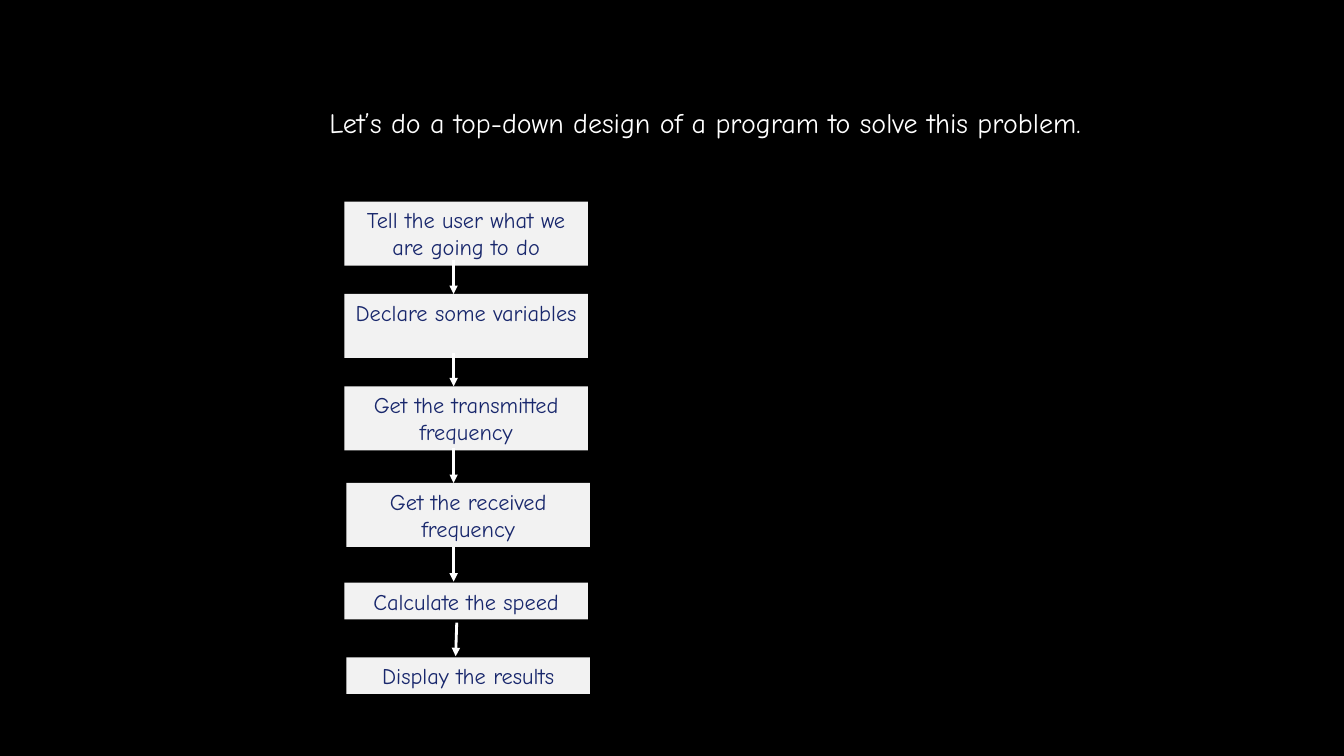
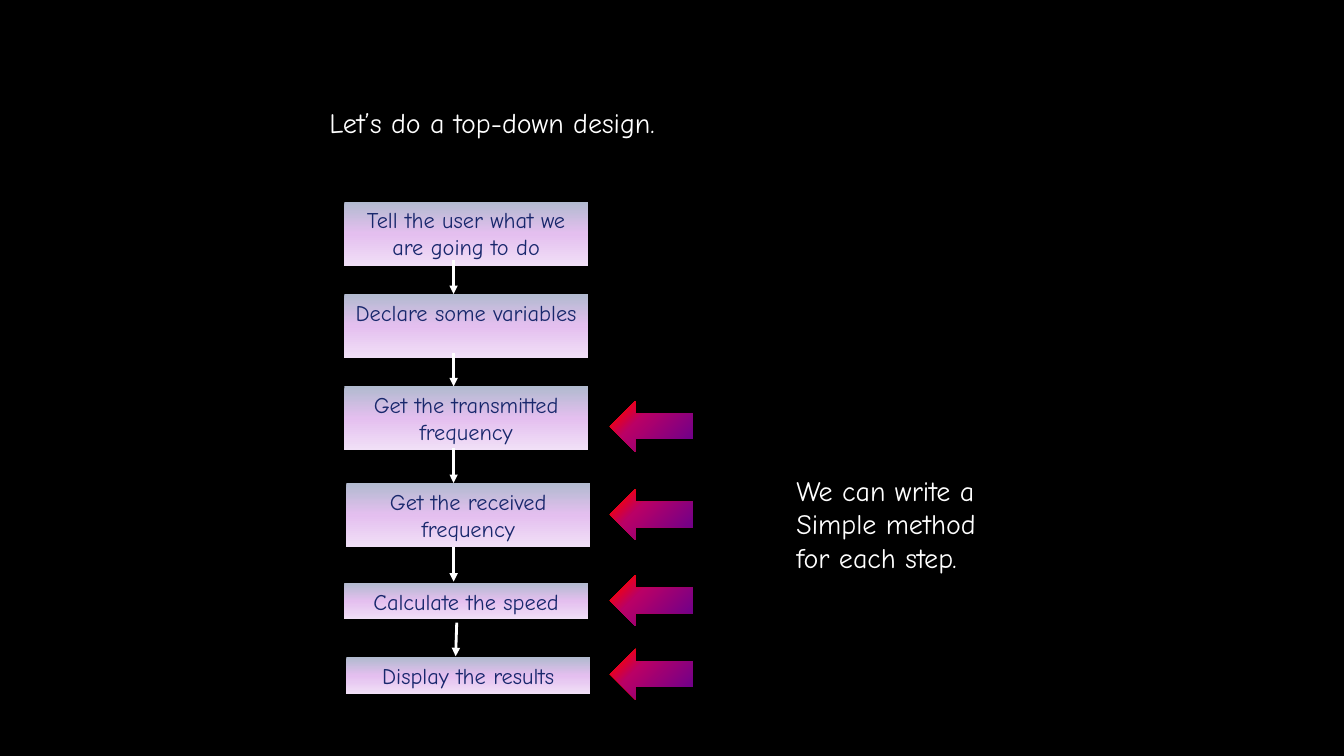
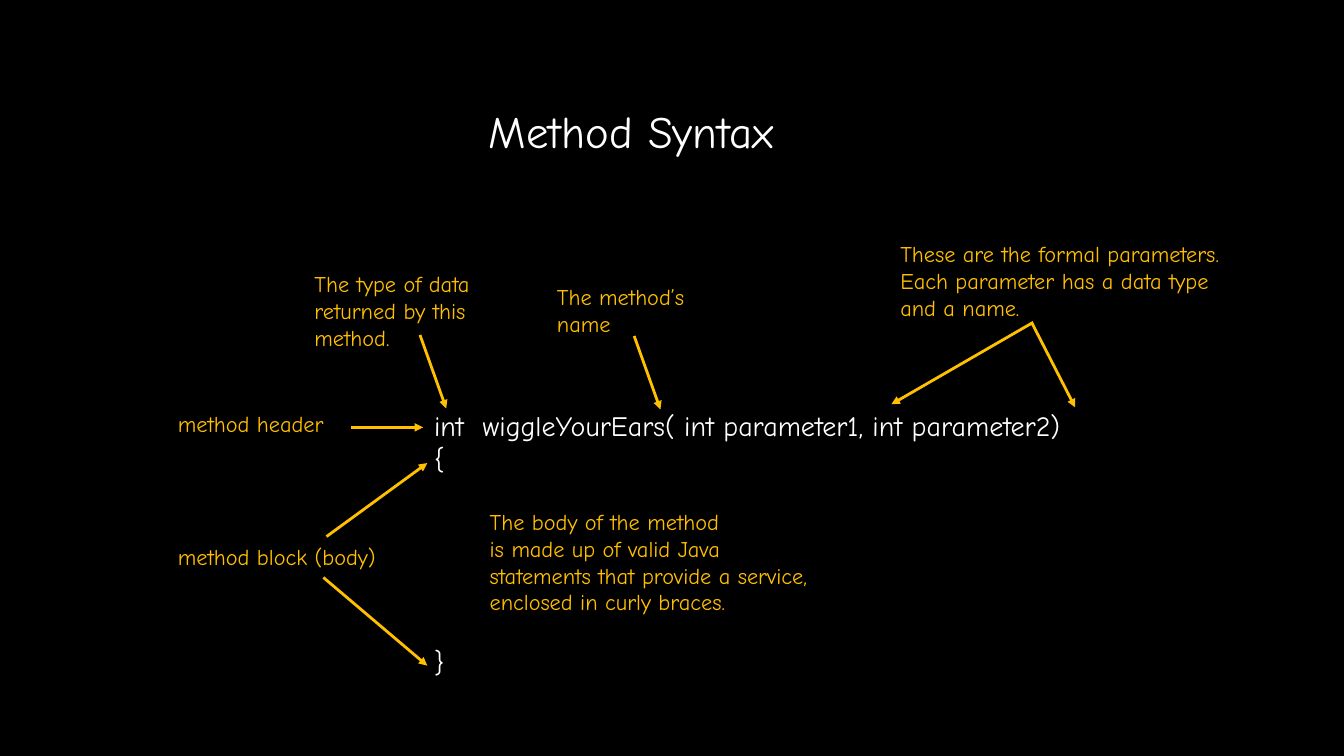
from lxml import etree
from pptx import Presentation
from pptx.dml.color import RGBColor
from pptx.enum.shapes import MSO_CONNECTOR, MSO_SHAPE
from pptx.enum.text import MSO_ANCHOR, MSO_AUTO_SIZE, PP_ALIGN
from pptx.oxml import parse_xml
from pptx.oxml.ns import nsdecls, qn
from pptx.util import Pt

PX = 9525  # EMU in one px, 96 px to the inch
FONT = "Comic Neue"
COLORS = {
    "background": "000000",
    "text": "FFFFFF",
    "note": "FFC000",
    "step_text": "18276C",
    "step_fill": "F2F2F2",
}

# Gradient stops: (percent, colour)
STEP_STOPS = [(0, "B1BACF"), (50, "E4BFEF"), (100, "F1E0F7")]
POINTER_STOPS = [(0, "000082"), (1, "66008F"), (65, "BA0066"),
                 (90, "FF0000"), (100, "FF8200")]
DOWNWARD = '<a:lin ang="5400000" scaled="0"/>'
FROM_CORNER = '<a:path path="circle"><a:fillToRect l="100000" t="100000"/></a:path>'

# Flowchart steps: text, left, top, height
STEPS = [
    ("Tell the user what we are going to do", 328, 192, 61),
    ("Declare some variables", 328, 280, 61),
    ("Get the transmitted\nfrequency", 328, 368, 61),
    ("Get the received\nfrequency", 330, 460, 61),
    ("Calculate the speed", 328, 555, 35),
    ("Display the results", 330, 626, 35),
]
STEP_WIDTH = 232
# Flow arrows: from x, from y, to x, to y
FLOW = [
    (432, 248, 432, 280),
    (432, 336, 432, 368),
    (432, 427, 432, 460),
    (432, 521, 432, 554),
    (435, 593, 434, 625),
]
POINTER_TOPS = [382, 466, 548, 618]

# Method syntax notes: text, left, top, width, height
NOTES = [
    ("The type of data\nreturned by this\nmethod.", 290, 253, 189, 87),
    ("The method’s\nname", 521, 265, 154, 61),
    ("These are the formal parameters.\nEach parameter has a data type\nand a name.",
     848, 224, 361, 87),
    ("The body of the method\nis made up of valid Java\n"
     "statements that provide a service,\nenclosed in curly braces.",
     457, 479, 384, 113),
    ("method header", 160, 386, 171, 35),
    ("method block (body)", 160, 513, 224, 35),
]
NOTE_ARROWS = [
    (400, 319, 425, 389),
    (604, 320, 629, 390),
    (984, 307, 849, 385),
    (983, 308, 1024, 388),
    (334, 407, 403, 407),
    (311, 511, 407, 441),
    (308, 550, 407, 634),
]


def rgb(name):
    return RGBColor.from_string(COLORS[name])


def emu(*lengths):
    return [n * PX for n in lengths]


def write(tf, text, size, color, align=PP_ALIGN.LEFT):
    """Fill a text frame, one paragraph per line of text."""
    tf.text = text
    tf.word_wrap = True
    tf.auto_size = MSO_AUTO_SIZE.NONE
    tf.vertical_anchor = MSO_ANCHOR.TOP
    for p in tf.paragraphs:
        p.alignment = align
        p.line_spacing = 1.0
        p.font.name = FONT
        p.font.size = Pt(size)
        p.font.color.rgb = rgb(color)


def add_titled_slide(prs, text, left, top, width, height, size=20):
    s = prs.slides.add_slide(prs.slide_layouts[5])
    title = s.shapes.title
    title.left, title.top, title.width, title.height = emu(left, top, width, height)
    write(title.text_frame, text, size, "text")
    return s


def add_text(s, text, left, top, width, height, size, color):
    tb = s.shapes.add_textbox(*emu(left, top, width, height))
    write(tb.text_frame, text, size, color)
    return tb.text_frame


def add_block(s, kind, left, top, width, height):
    sp = s.shapes.add_shape(kind, *emu(left, top, width, height))
    sp.shadow.inherit = False
    sp.line.fill.background()
    return sp


def set_gradient(sp, stops, direction):
    sp.fill.background()
    gs = "".join(f'<a:gs pos="{pos * 1000}"><a:srgbClr val="{color}"/></a:gs>'
                 for pos, color in stops)
    grad = parse_xml(f'<a:gradFill {nsdecls("a")} rotWithShape="1">'
                     f'<a:gsLst>{gs}</a:gsLst>{direction}</a:gradFill>')
    sp_pr = sp._element.spPr
    sp_pr.replace(sp_pr.find(qn("a:noFill")), grad)


def add_arrow(s, ends, color):
    line = s.shapes.add_connector(MSO_CONNECTOR.STRAIGHT, *emu(*ends))
    line.line.color.rgb = rgb(color)
    line.line.width = Pt(2)
    etree.SubElement(line.line._get_or_add_ln(), qn("a:tailEnd"), type="triangle")
    etree.SubElement(line._element.spPr, qn("a:effectLst"))


def add_flowchart(s, stops=None):
    for text, left, top, height in STEPS:
        box = add_block(s, MSO_SHAPE.RECTANGLE, left, top, STEP_WIDTH, height)
        if stops:
            set_gradient(box, stops, DOWNWARD)
        else:
            box.fill.solid()
            box.fill.fore_color.rgb = rgb("step_fill")
        write(box.text_frame, text, 16, "step_text", PP_ALIGN.CENTER)
    for ends in FLOW:
        add_arrow(s, ends, "text")


def build_design(prs):
    s = add_titled_slide(
        prs, "Let’s do a top-down design of a program to solve this problem.",
        304, 96, 798, 42)
    add_flowchart(s)


def build_design_methods(prs):
    s = add_titled_slide(prs, "Let’s do a top-down design.", 304, 96, 357, 42)
    add_flowchart(s, STEP_STOPS)
    for top in POINTER_TOPS:
        pointer = add_block(s, MSO_SHAPE.LEFT_ARROW, 581, top, 79, 48)
        set_gradient(pointer, POINTER_STOPS, FROM_CORNER)
    add_text(s, "We can write a\nSimple method\nfor each step.",
             749, 446, 208, 107, 20, "text")


def build_syntax(prs):
    s = add_titled_slide(prs, "Method Syntax", 456, 94, 330, 61, size=32)
    code = add_text(s, "int  wiggleYourEars( int parameter1, int parameter2)\n{\n}",
                    404, 384, 681, 268, 20, "text")
    code.paragraphs[-1].space_before = Pt(121)  # room for the method body
    for note in NOTES:
        add_text(s, *note, 16, "note")
    for ends in NOTE_ARROWS:
        add_arrow(s, ends, "note")


def main():
    prs = Presentation()
    prs.slide_width, prs.slide_height = emu(1280, 720)
    fill = prs.slide_master.background.fill
    fill.solid()
    fill.fore_color.rgb = rgb("background")
    build_design(prs)
    build_design_methods(prs)
    build_syntax(prs)
    prs.save("out.pptx")


if __name__ == "__main__":
    main()
